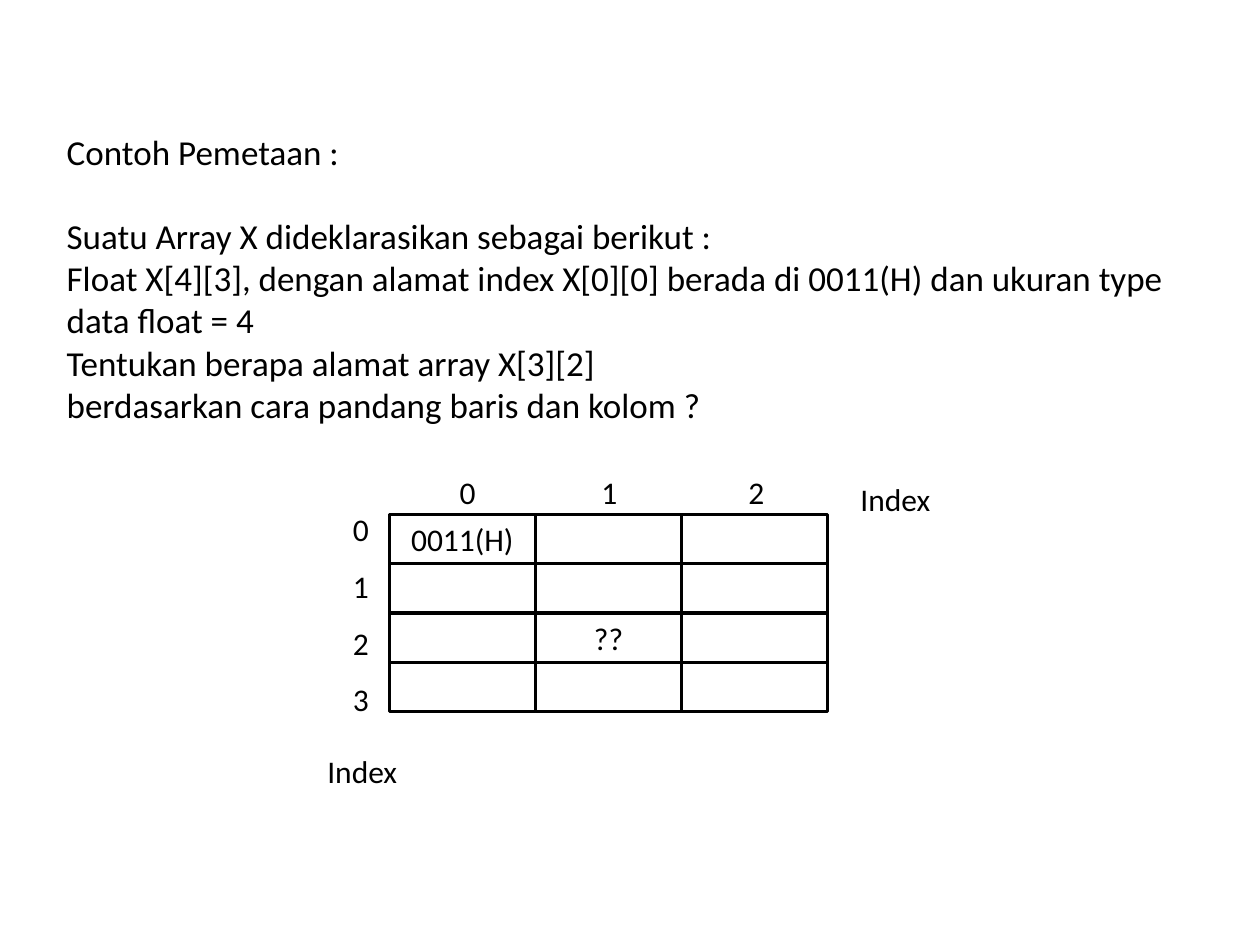
"""Build the slide that maps a two-dimensional array onto memory addresses."""
import pptx
import pptx.util
import pptx.dml.color
import pptx.enum.shapes
import pptx.enum.text
import lxml.etree

Pt = pptx.util.Pt
BLACK = pptx.dml.color.RGBColor(0, 0, 0)
WHITE = pptx.dml.color.RGBColor(255, 255, 255)
FONT = "Calibri"


def write(frame, text, size, spacing=None):
    """Fill a text frame and format all of its runs."""
    frame.text = text
    for paragraph in frame.paragraphs:
        paragraph.line_spacing = spacing
        for run in paragraph.runs:
            run.font.name = FONT
            run.font.size = Pt(size)
            run.font.color.rgb = BLACK


def add_label(text, left, top, width, height, size=18, spacing=1.5, wrap=False):
    """Add a text box and return its text frame."""
    box = slide.shapes.add_textbox(Pt(left), Pt(top), Pt(width), Pt(height))
    box.text_frame.word_wrap = wrap
    write(box.text_frame, text, size, spacing)
    return box.text_frame


deck = pptx.Presentation()
deck.slide_width, deck.slide_height = Pt(720), Pt(540)
slide = deck.slides.add_slide(deck.slide_layouts[6])

problem = add_label(
    "Contoh Pemetaan :\n"
    "Suatu Array X dideklarasikan sebagai berikut :\n"
    "Float X[4][3], dengan alamat index X[0][0] berada di 0011(H) "
    "dan ukuran type data float = 4\n"
    "Tentukan berapa alamat array X[3][2]\n"
    "berdasarkan cara pandang baris dan kolom ?",
    31, 71.3, 663, 177, size=20, spacing=None, wrap=True)
problem.paragraphs[0].space_after = Pt(24)

add_label("Index", 484.6, 260, 55, 36.7)
add_label("Index", 180, 415.5, 55, 36.7)

GRID_LEFT, GRID_TOP = 222.5, 293.9
CELL_WIDTH, CELL_HEIGHT = 83.5, 28.2
addresses = {(0, 0): "0011(H)", (2, 1): "??"}
for row in range(4):
    for column in range(3):
        cell = slide.shapes.add_shape(
            pptx.enum.shapes.MSO_SHAPE.RECTANGLE,
            Pt(GRID_LEFT + column * CELL_WIDTH), Pt(GRID_TOP + row * CELL_HEIGHT),
            Pt(CELL_WIDTH), Pt(CELL_HEIGHT))
        cell.shadow.inherit = False
        cell.fill.solid()
        cell.fill.fore_color.rgb = WHITE
        cell.line.color.rgb = BLACK
        cell.line.width = Pt(2)
        if (row, column) in addresses:
            write(cell.text_frame, addresses[row, column], 18)
            cell.text_frame.vertical_anchor = pptx.enum.text.MSO_ANCHOR.MIDDLE
            cell.text_frame.paragraphs[0].alignment = pptx.enum.text.PP_ALIGN.CENTER

add_label("0\n1\n2\n3", 194.5, 277.3, 24, 138)

column_numbers = add_label("0\t1\t2", 255.6, 255.8, 211, 40, wrap=True)
properties = column_numbers.paragraphs[0]._p.get_or_add_pPr()
tabs = lxml.etree.SubElement(properties, pptx.oxml.ns.qn("a:tabLst"))
for position in (81, 165):
    lxml.etree.SubElement(tabs, pptx.oxml.ns.qn("a:tab"), pos=str(Pt(position)), algn="l")

deck.save("out.pptx")
